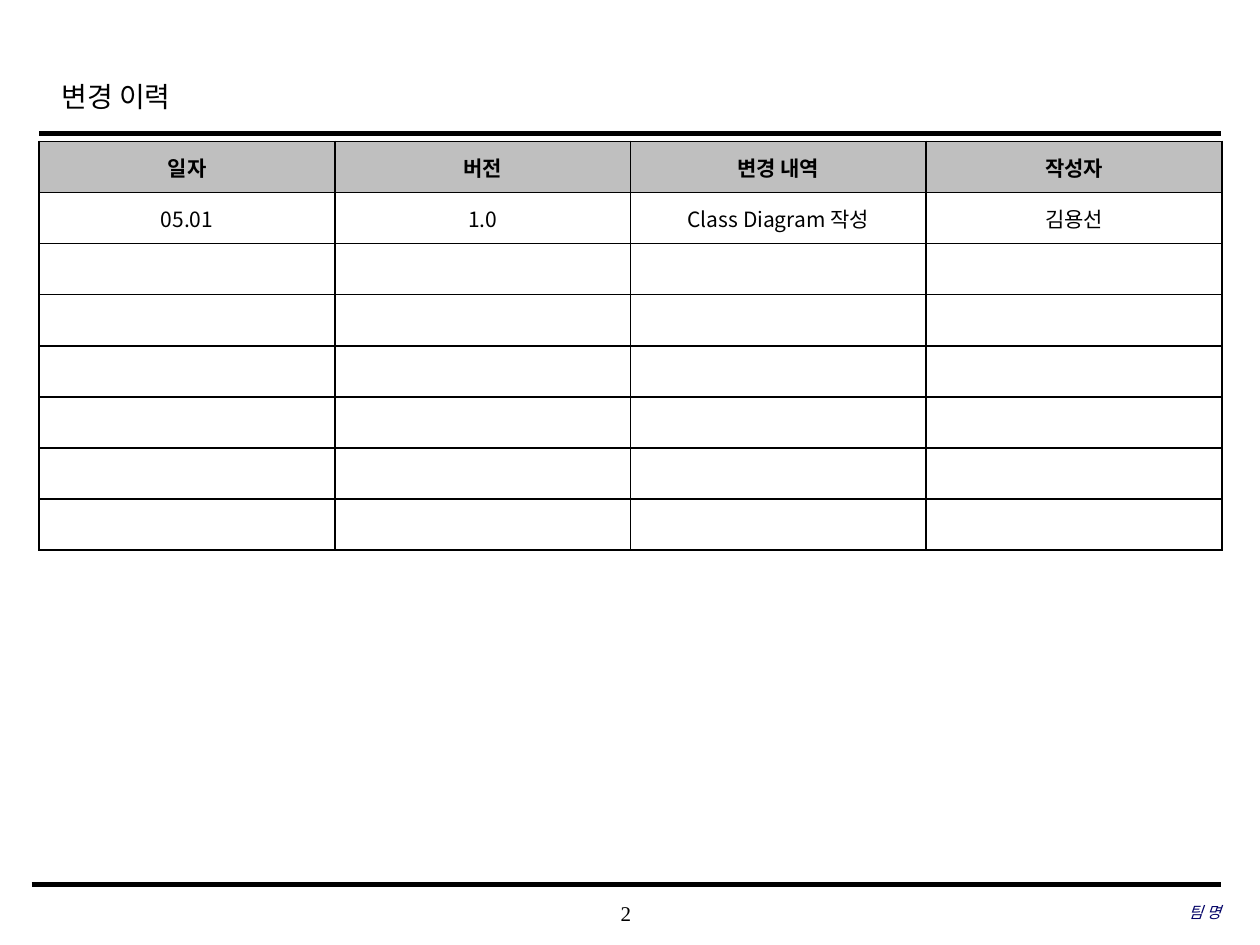
import pptx
import pptx.dml.color
import pptx.enum.shapes
import pptx.enum.text
import pptx.oxml
import pptx.oxml.ns
import pptx.util
from lxml import etree

Cm = pptx.util.Cm
Pt = pptx.util.Pt
ALIGN = pptx.enum.text.PP_ALIGN
MIDDLE = pptx.enum.text.MSO_ANCHOR.MIDDLE
SERIF = "Times New Roman"
SANS = "Noto Sans CJK KR"
HEADERS = ["일자", "버전", "변경 내역", "작성자"]
ENTRIES = [["05.01", "1.0", "Class Diagram 작성", "김용선"]]
ROW_COUNT = 8


def color(hex_value):
    """Return the colour for a hex string."""
    return pptx.dml.color.RGBColor.from_string(hex_value)


def sub(parent, tag, **attrs):
    """Append a DrawingML element to parent."""
    return etree.SubElement(parent, pptx.oxml.ns.qn(tag), **attrs)


def style(p, size, font, align, hex_value="000000", bold=False, italic=False):
    """Set the font and alignment of a paragraph."""
    p.alignment = align
    p.font.size = Pt(size)
    p.font.name = font
    p.font.bold = bold
    p.font.italic = italic
    p.font.color.rgb = color(hex_value)


def add_text(s, box, text, size, align, inset=(0, 0), **look):
    """Place one line of text in a box; return its paragraph."""
    tf = s.shapes.add_textbox(*map(Cm, box)).text_frame
    tf.word_wrap = True
    tf.vertical_anchor = MIDDLE
    tf.margin_left = tf.margin_right = Cm(inset[0])
    tf.margin_top = tf.margin_bottom = Cm(inset[1])
    p = tf.paragraphs[0]
    p.text = text
    style(p, size, SERIF, align, **look)
    return p


def add_rule(s, left, right, y, width):
    """Draw a black horizontal rule."""
    line = s.shapes.add_connector(
        pptx.enum.shapes.MSO_CONNECTOR.STRAIGHT, Cm(left), Cm(y), Cm(right), Cm(y))
    line.line.color.rgb = color("000000")
    line.line.width = Pt(width)
    sub(line._element.spPr, "a:effectLst")


def add_header(s, left, top, width, height):
    """Place the title and the rule at the bottom of the header."""
    p = add_text(s, (left + 0.2, top, 19.18, 1.27), "변경 이력", 16, ALIGN.LEFT,
                 inset=(0.25, 0.13))
    p.line_spacing = 1.2
    add_rule(s, left, left + width, top + height, 2.5)


def add_footer(s, left, top, width):
    """Place the rule, page number and team name of the footer."""
    add_rule(s, left, left + width, top, 3)
    add_text(s, (left + 9.34, top + 0.15, 5.28, 0.84), "2", 12, ALIGN.CENTER)
    add_text(s, (left + width - 7.77, top + 0.13, 7.77, 0.84), "팀 명", 9,
             ALIGN.RIGHT, hex_value="000066", italic=True)


def format_cell(cell, text, is_header):
    """Fill, border and write one table cell."""
    p = cell.text_frame.paragraphs[0]
    p.text = text
    style(p, 12, SANS, ALIGN.CENTER, bold=is_header)
    for r in p.runs:
        sub(r._r.get_or_add_rPr(), "a:ea", typeface=SANS)
    cell.vertical_anchor = MIDDLE
    tc_pr = cell._tc.get_or_add_tcPr()
    for side in ("a:lnL", "a:lnR", "a:lnT", "a:lnB"):
        ln = sub(tc_pr, side, w=str(Pt(1)))
        sub(sub(ln, "a:solidFill"), "a:srgbClr", val="000000")
    cell.fill.solid()
    cell.fill.fore_color.rgb = color("BFBFBF" if is_header else "FFFFFF")


def add_history(s, left, top, width, height):
    """Place the change history table."""
    table = s.shapes.add_table(ROW_COUNT, len(HEADERS), Cm(left), Cm(top),
                               Cm(width), Cm(height)).table
    for column in table.columns:
        column.width = Cm(width / len(HEADERS))
    rows = [HEADERS] + ENTRIES
    rows += [[""] * len(HEADERS)] * (ROW_COUNT - len(rows))
    for i, texts in enumerate(rows):
        table.rows[i].height = Cm(height / ROW_COUNT)
        for j, text in enumerate(texts):
            format_cell(table.cell(i, j), text, i == 0)


def main():
    """Build and save the change history slide."""
    prs = pptx.Presentation()
    prs.slide_width, prs.slide_height = Cm(25.4), Cm(19.05)
    s = prs.slides.add_slide(prs.slide_layouts[6])
    add_header(s, 0.79, 1.24, 23.82, 1.45)
    add_footer(s, 0.64, 17.83, 23.97)
    add_history(s, 0.79, 2.85, 23.84, 8.24)
    prs.save("out.pptx")


main()
